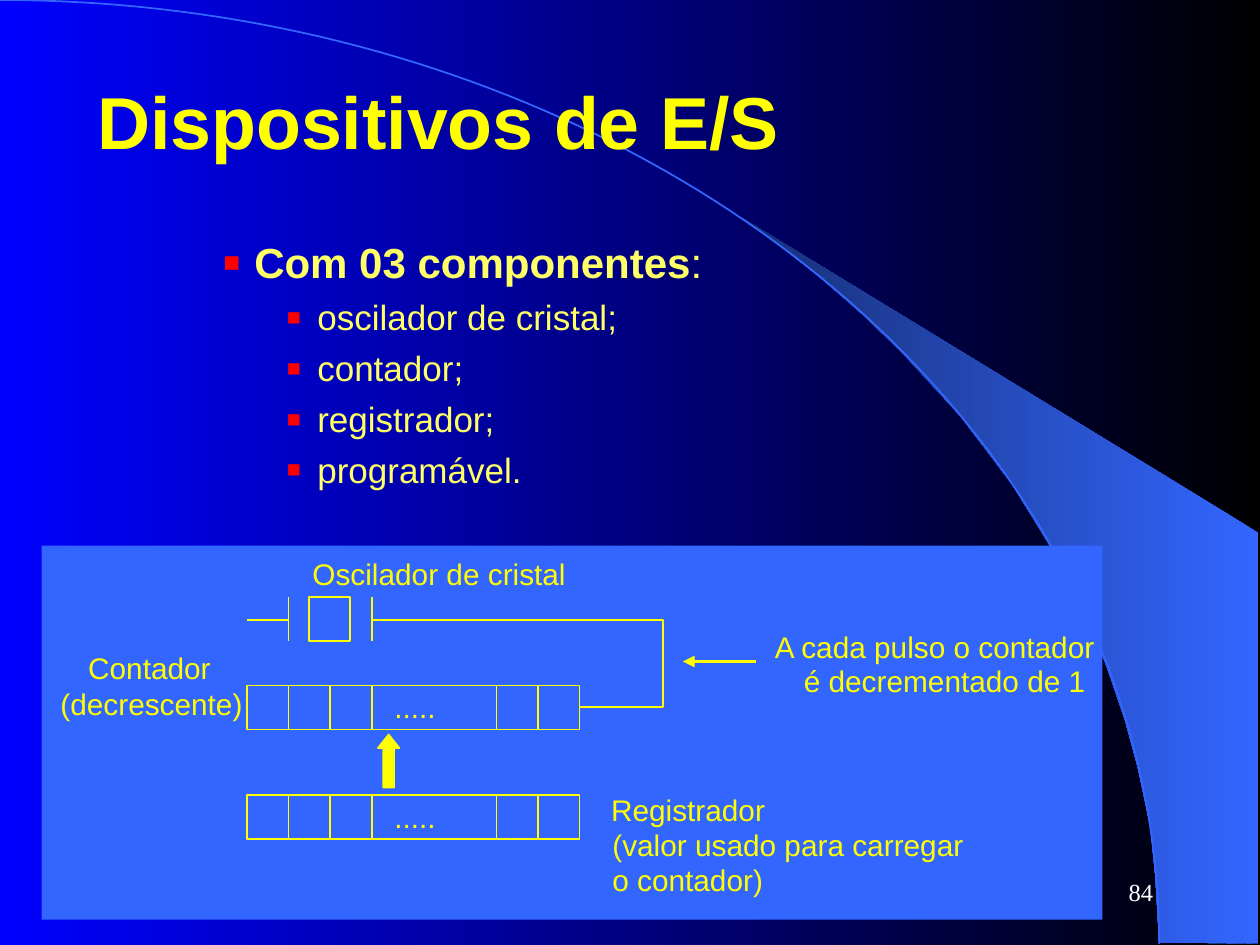
from math import cos, pi, sin

from lxml import etree
from pptx import Presentation
from pptx.dml.color import RGBColor
from pptx.enum.shapes import MSO_CONNECTOR, MSO_SHAPE
from pptx.enum.text import MSO_ANCHOR, MSO_AUTO_SIZE, PP_ALIGN
from pptx.oxml.ns import qn
from pptx.util import Inches, Pt

STRAIGHT = MSO_CONNECTOR.STRAIGHT
RECTANGLE = MSO_SHAPE.RECTANGLE
UP_ARROW = MSO_SHAPE.UP_ARROW
MIDDLE = MSO_ANCHOR.MIDDLE
FIT_TEXT = MSO_AUTO_SIZE.SHAPE_TO_FIT_TEXT
LEFT, RIGHT = PP_ALIGN.LEFT, PP_ALIGN.RIGHT

BLACK = RGBColor(0x00, 0x00, 0x00)
WHITE = RGBColor(0xFF, 0xFF, 0xFF)
DEEP_BLUE = RGBColor(0x00, 0x00, 0xFF)
PANEL_BLUE = RGBColor(0x33, 0x66, 0xFF)
NAVY = RGBColor(0x17, 0x2F, 0x75)
YELLOW = RGBColor(0xFF, 0xFF, 0x00)
PALE_YELLOW = RGBColor(0xFF, 0xFF, 0x66)

prs = Presentation()
prs.slide_width, prs.slide_height = Inches(10), Inches(7.5)
slide = prs.slides.add_slide(prs.slide_layouts[5])
shapes = slide.shapes


def add_wire(x1, y1, x2, y2, width=1):
    wire = shapes.add_connector(STRAIGHT, Inches(x1), Inches(y1), Inches(x2), Inches(y2))
    wire.line.color.rgb = YELLOW
    wire.line.width = Pt(width)
    etree.SubElement(wire._element.spPr, qn("a:effectLst"))
    return wire


def add_outline(points, close):
    start, *rest = [(Inches(x), Inches(y)) for x, y in points]
    builder = shapes.build_freeform(*start)
    builder.add_line_segments(rest, close=close)
    outline = builder.convert_to_shape()
    outline.shadow.inherit = False
    return outline


# Background: gradient, fan and quarter ellipse
fan = add_outline([
    (9.2, 7.48), (9.99, 7.49), (9.99, 4.23), (5.89, 1.73), (6.24, 1.99), (6.53, 2.22),
    (6.85, 2.5), (7.16, 2.8), (7.62, 3.3), (8.03, 3.84), (8.32, 4.31), (8.58, 4.79),
    (8.78, 5.28), (8.93, 5.72), (9.03, 6.09), (9.13, 6.56), (9.17, 6.96)], close=True)
fan.line.fill.background()
for fill, colors in ((slide.background.fill, (BLACK, DEEP_BLUE)),
                     (fan.fill, (PANEL_BLUE, NAVY))):
    fill.gradient()
    fill.gradient_angle = 180
    for stop, color in zip(fill.gradient_stops, colors):
        stop.color.rgb = color

ARC_STEPS = 90
angles = [step * pi / 2 / ARC_STEPS for step in range(ARC_STEPS + 1)]
arc = add_outline([(9.2 * sin(a), 7.49 * (1 - cos(a))) for a in angles], close=False)
arc.fill.background()
arc.line.color.rgb = PANEL_BLUE
arc.line.width = Pt(1)

# Title
title = shapes.title
title.left, title.top = Inches(0.67), Inches(0.33)
title.width, title.height = Inches(9), Inches(1.25)
title.text_frame.text = "Dispositivos de E/S"
title.text_frame.vertical_anchor = MIDDLE
heading = title.text_frame.paragraphs[0]
heading.alignment = LEFT
heading.font.name = "Arial"
heading.font.size = Pt(42)
heading.font.bold = True
heading.font.color.rgb = YELLOW
# Keep the title above the background shapes
shapes._spTree.append(title._element)

# Bulleted list
components = shapes.add_textbox(Inches(0.67), Inches(1.83), Inches(9), Inches(5)).text_frame
components.word_wrap = True
components.text = "\n".join([
    "Com 03 componentes", "oscilador de cristal;", "contador;", "registrador;", "programável."])
for index, item in enumerate(components.paragraphs):
    item.level = 3 if index else 2
    properties = item._p.get_or_add_pPr()
    properties.set("marL", str(Inches(1.75 if index else 1.25)))
    properties.set("indent", str(Inches(-0.25)))
    bullet_color = etree.SubElement(properties, qn("a:buClr"))
    etree.SubElement(bullet_color, qn("a:srgbClr"), val="FF0000")
    etree.SubElement(properties, qn("a:buSzPct"), val="130000")
    etree.SubElement(properties, qn("a:buFont"), typeface="Arial")
    etree.SubElement(properties, qn("a:buChar"), char="▪")
    item.space_before = Pt(5 if index else 0)
    item.font.name = "Arial"
    item.font.size = Pt(20 if index else 24)
    item.font.color.rgb = PALE_YELLOW
lead = components.paragraphs[0]
lead.runs[0].font.bold = True
colon = lead.add_run()
colon.text = ":"
colon.font.name = "Arial"
colon.font.size = Pt(24)
colon.font.color.rgb = PALE_YELLOW

# Diagram panel, crystal, counter and holding register
ROW_LEFT, CELL, BOX_HEIGHT = 1.96, 0.33, 0.35
COUNTER_TOP, REGISTER_TOP = 5.44, 6.31
for x, y, width, height, bordered in (
        (0.33, 4.33, 8.42, 2.97, False),
        (2.45, 4.74, CELL, BOX_HEIGHT, True),
        (ROW_LEFT, COUNTER_TOP, 8 * CELL, BOX_HEIGHT, True),
        (ROW_LEFT, REGISTER_TOP, 8 * CELL, BOX_HEIGHT, True)):
    box = shapes.add_shape(RECTANGLE, Inches(x), Inches(y), Inches(width), Inches(height))
    box.shadow.inherit = False
    box.fill.solid()
    box.fill.fore_color.rgb = PANEL_BLUE
    if bordered:
        box.line.color.rgb = YELLOW
        box.line.width = Pt(1)
    else:
        box.line.fill.background()

for row_top in (COUNTER_TOP, REGISTER_TOP):
    for cell in (1, 2, 3, 6, 7):
        x = ROW_LEFT + cell * CELL
        add_wire(x, row_top, x, row_top + BOX_HEIGHT)

# Crystal plates and leads
add_wire(1.96, 4.92, 2.29, 4.92)
for plate_x in (2.29, 2.95):
    add_wire(plate_x, 4.74, plate_x, 5.09)
clock_path = add_outline([(2.95, 4.92), (5.26, 4.92), (5.26, 5.61), (4.6, 5.61)], close=False)
clock_path.fill.background()
clock_path.line.color.rgb = YELLOW
clock_path.line.width = Pt(1)

# Arrows
pulse_arrow = add_wire(6, 5.25, 5.42, 5.25, width=2.25)
etree.SubElement(pulse_arrow.line._get_or_add_ln(), qn("a:tailEnd"), type="triangle")
load_arrow = shapes.add_shape(UP_ARROW, Inches(3), Inches(5.83), Inches(0.17), Inches(0.42))
load_arrow.adjustments[1] = 0.63
load_arrow.shadow.inherit = False
load_arrow.fill.solid()
load_arrow.fill.fore_color.rgb = YELLOW
load_arrow.line.color.rgb = YELLOW
load_arrow.line.width = Pt(1)

# Diagram labels, each a single line with a little room to spare
for text, x, y, width in (
        (".....", 3.13, 5.47, 0.35),
        (".....", 3.13, 6.34, 0.35),
        ("Contador", 0.7, 5.16, 1),
        ("(decrescente)", 0.48, 5.44, 1.47),
        ("Oscilador de cristal", 2.48, 4.41, 2.04),
        ("A cada pulso o contador", 6.15, 4.99, 2.57),
        ("é decrementado de 1", 6.38, 5.26, 2.26),
        ("Registrador", 4.85, 6.28, 1.25),
        ("(valor usado para carregar", 4.86, 6.56, 2.81),
        ("o contador)", 4.86, 6.84, 1.22)):
    label = shapes.add_textbox(Inches(x), Inches(y), Inches(width), Inches(0.28)).text_frame
    label.margin_left = label.margin_right = label.margin_top = label.margin_bottom = 0
    label.word_wrap = False
    label.auto_size = FIT_TEXT
    label.text = text
    font = label.paragraphs[0].font
    font.name = "Arial"
    font.size = Pt(17)
    font.color.rgb = YELLOW

# Slide number
number = shapes.add_textbox(Inches(7.17), Inches(6.83), Inches(2.08), Inches(0.5)).text_frame
number.word_wrap = True
number.vertical_anchor = MIDDLE
number.text = "84"
number_line = number.paragraphs[0]
number_line.alignment = RIGHT
number_line.font.name = "Times New Roman"
number_line.font.size = Pt(14)
number_line.font.color.rgb = WHITE

prs.save("out.pptx")
